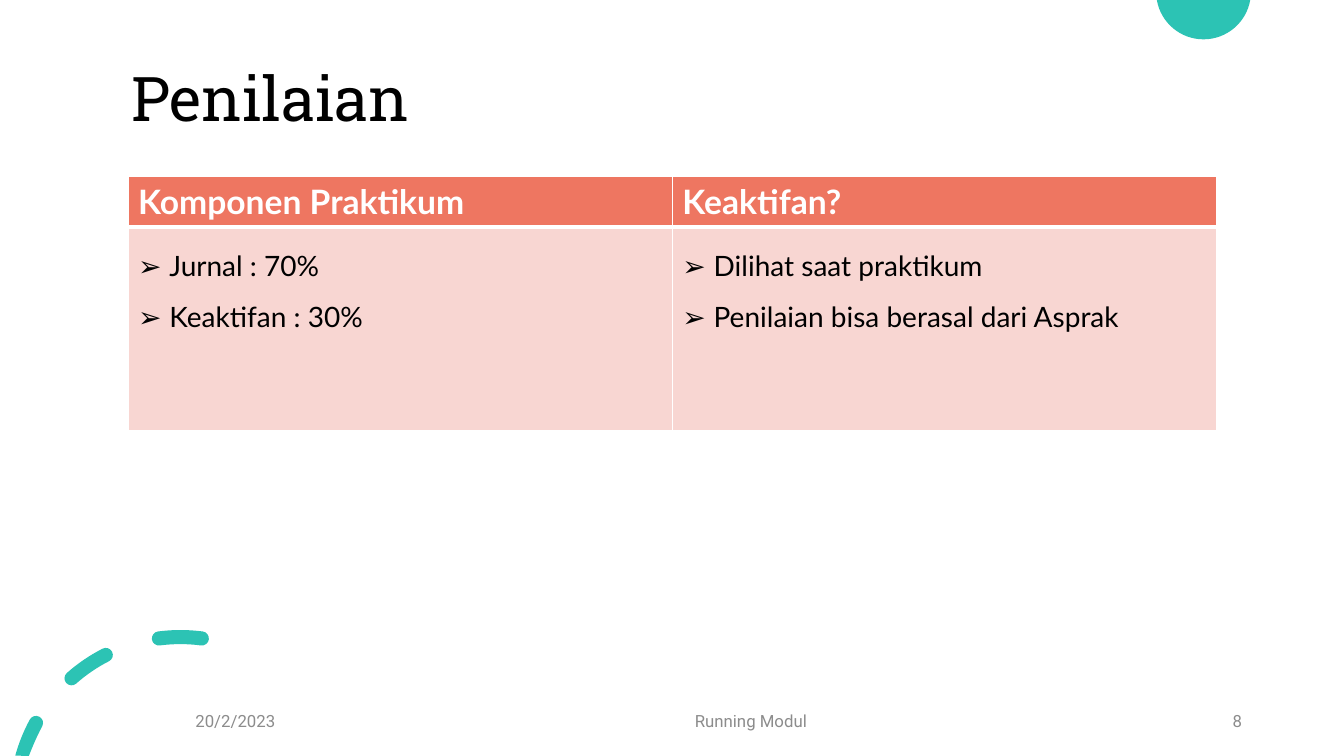
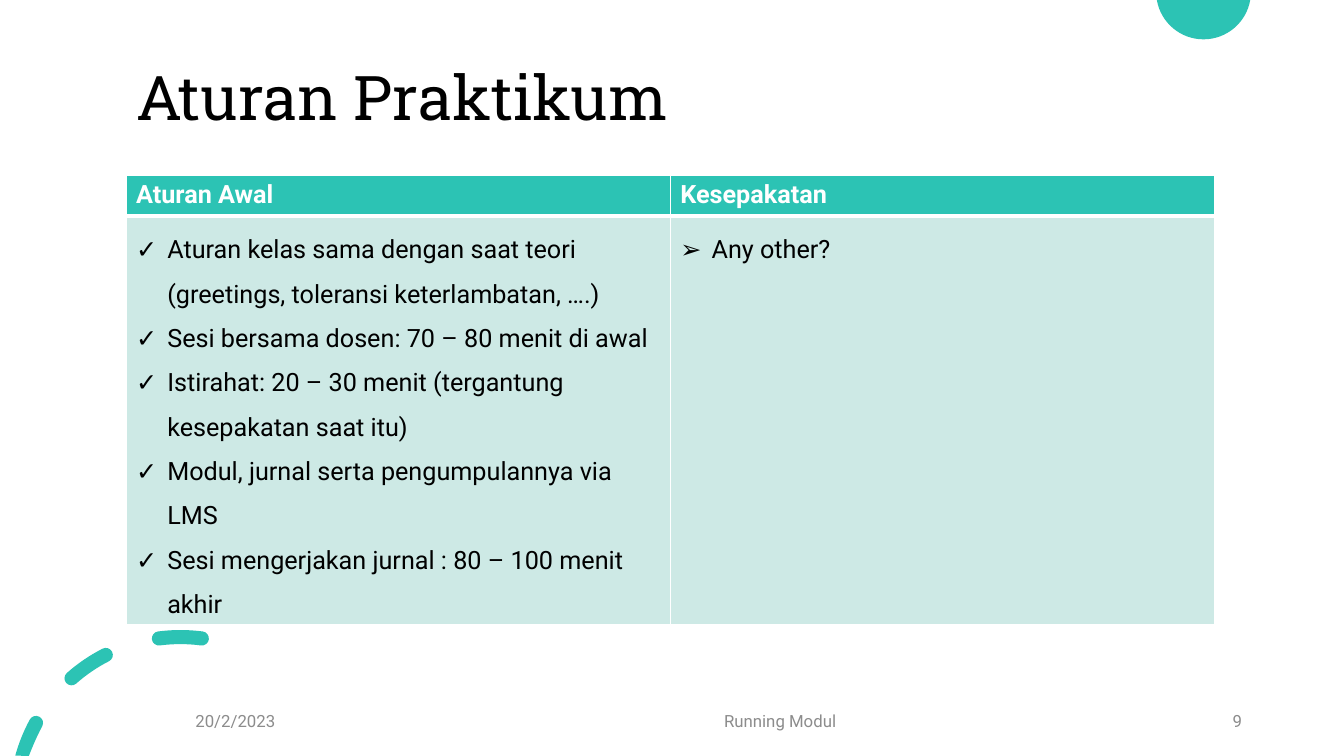
import math
from dataclasses import dataclass

import pptx
import pptx.dml.color
import pptx.enum.text
import pptx.oxml
import pptx.oxml.ns
import pptx.util

Inches, Pt = pptx.util.Inches, pptx.util.Pt
PP_ALIGN = pptx.enum.text.PP_ALIGN
ANCHOR = pptx.enum.text.MSO_ANCHOR


@dataclass(frozen=True)
class Theme:
    teal: str = "2CC3B4"
    teal_pale: str = "CDE9E5"
    coral: str = "EE7661"
    coral_pale: str = "F8D6D2"
    black: str = "000000"
    white: str = "FFFFFF"
    grey: str = "8C8C8C"
    title_font: str = "Roboto Slab"
    body_font: str = "Roboto"
    alt_font: str = "Lato"
    title_size: int = 44
    footer_size: int = 12


THEME = Theme()
SLIDE_H = 7.5
SLIDE_W = SLIDE_H * 16 / 9
ARROW, CHECK = "➢", "✓"


def rgb(value):
    return pptx.dml.color.RGBColor.from_string(value)


def style(p, name, size, color, bold=False):
    p.font.name = name
    p.font.size = Pt(size)
    p.font.color.rgb = rgb(color)
    p.font.bold = bold


# Decoration shared through the layout
def polar(cx, cy, radius, degrees):
    """Point on a circle; degrees run anticlockwise from the top."""
    a = math.radians(degrees)
    return cx - radius * math.sin(a), cy - radius * math.cos(a)


def arc(cx, cy, radius, start, end, pieces=1):
    """Start point, then three Bezier points for each piece of the arc."""
    step = (end - start) / pieces
    pull = 4 / 3 * math.tan(math.radians(step) / 4)
    points = [polar(cx, cy, radius, start)]
    for i in range(pieces):
        a, b = start + i * step, start + (i + 1) * step
        (ax, ay), (bx, by) = polar(cx, cy, radius, a), polar(cx, cy, radius, b)
        points += [(ax + pull * (ay - cy), ay - pull * (ax - cx)),
                   (bx - pull * (by - cy), by + pull * (bx - cx)), (bx, by)]
    return points


def dash(cx, cy, radius, start, end, end_cap=True, half=0.07):
    """Outline of a thick arc with round ends, the last one optional."""
    points = arc(cx, cy, radius + half, end, start)
    points += arc(*polar(cx, cy, radius, start), half, start + 360, start + 180, 2)[1:]
    points += arc(cx, cy, radius - half, start, end)[1:]
    if end_cap:
        points += arc(*polar(cx, cy, radius, end), half, end + 180, end, 2)[1:]
    return points


def add_outline(s, contours, color):
    def emu(point):
        x, y = point
        return Inches(x), Inches(min(max(y, 0), SLIDE_H))

    builder = s.shapes.build_freeform(*emu(contours[0][0]))
    for i, contour in enumerate(contours):
        if i:
            builder.move_to(*emu(contour[0]))
        builder.add_line_segments([emu(pt) for pt in contour[1:]], close=False)
    sp = builder.convert_to_shape()
    # Every three segments become one curve
    qn = pptx.oxml.ns.qn
    segments = list(sp.element.iter(qn("a:lnTo")))
    for first, second, third in zip(*[iter(segments)] * 3):
        first.tag = qn("a:cubicBezTo")
        for segment in (second, third):
            first.append(segment[0])
            segment.getparent().remove(segment)
    sp.shadow.inherit = False
    sp.fill.solid()
    sp.fill.fore_color.rgb = rgb(color)
    sp.line.fill.background()
    return sp


def decorate_layout(layout, s):
    half_chord = math.degrees(math.acos(0.08 / 0.47))
    disc = arc(11.94, -0.08, 0.47, 180 - half_chord, 180 + half_chord, 2)
    ring = (1.79, 7.95, 1.63)
    dashes = [dash(*ring, -7.5, 7.5), dash(*ring, 27, 41.5),
              dash(*ring, 61.5, 74.5, end_cap=False)]
    for contours in ([disc], dashes):
        layout.shapes.element.append(add_outline(s, contours, THEME.teal).element)


# Title and footer
def set_title(s, text, left, top):
    title = s.shapes.title
    title.left, title.top = Inches(left), Inches(top)
    title.width, title.height = Inches(10.8), Inches(1.48)
    title.text_frame.vertical_anchor = ANCHOR.MIDDLE
    p = title.text_frame.paragraphs[0]
    p.text = text
    p.alignment = PP_ALIGN.LEFT
    p.line_spacing = 0.9
    style(p, THEME.title_font, THEME.title_size, THEME.black)


def add_footer(s, number, center_left):
    parts = (
        ("20/2/2023", 1.84, 1.69, PP_ALIGN.LEFT),
        ("Running Modul", center_left, 4.5, PP_ALIGN.CENTER),
        (str(number), 9.42, 3, PP_ALIGN.RIGHT),
    )
    for text, left, width, align in parts:
        tf = s.shapes.add_textbox(Inches(left), Inches(6.95), Inches(width), Inches(0.4)).text_frame
        tf.word_wrap = True
        tf.vertical_anchor = ANCHOR.MIDDLE
        p = tf.paragraphs[0]
        p.text = text
        p.alignment = align
        style(p, THEME.body_font, THEME.footer_size, THEME.grey)


# Table
def set_borders(cell, bottom):
    tc_pr = cell._tc.get_or_add_tcPr()
    widths = {"lnL": 1, "lnR": 1, "lnT": 1, "lnB": bottom}
    for i, (tag, width) in enumerate(widths.items()):
        tc_pr.insert(i, pptx.oxml.parse_xml(
            f'<a:{tag} {pptx.oxml.ns.nsdecls("a")} w="{Pt(width)}"><a:solidFill>'
            f'<a:srgbClr val="{THEME.white}"/></a:solidFill></a:{tag}>'))


def set_bullet(p, char, font):
    p_pr = p._p.get_or_add_pPr()
    p_pr.set("marL", str(Inches(0.31)))
    p_pr.set("indent", str(-Inches(0.31)))
    for tag in (f'buFont {pptx.oxml.ns.nsdecls("a")} typeface="{font}"',
                f'buChar {pptx.oxml.ns.nsdecls("a")} char="{char}"'):
        p_pr.append(pptx.oxml.parse_xml(f"<a:{tag}/>"))


def fill_cell(cell, color, bottom=1):
    cell.fill.solid()
    cell.fill.fore_color.rgb = rgb(color)
    set_borders(cell, bottom)


def add_list_table(s, left, top, heights, columns, font, sizes, colors):
    """Table with a heading and a bulleted list in each column."""
    table = s.shapes.add_table(2, len(columns), Inches(left), Inches(top),
                               Inches(10.8), Inches(sum(heights))).table
    table.first_row = table.horz_banding = False
    for row, height in zip(table.rows, heights):
        row.height = Inches(height)
    for col, (heading, bullet, items) in enumerate(columns):
        head, body = table.cell(0, col), table.cell(1, col)
        fill_cell(head, colors[0], bottom=3)
        fill_cell(body, colors[1])
        head.text = heading
        style(head.text_frame.paragraphs[0], font, sizes[0], THEME.white, bold=True)
        body.text = "\n".join(items)
        for p in body.text_frame.paragraphs:
            set_bullet(p, bullet, font)
            p.line_spacing = 1.5
            style(p, font, sizes[1], THEME.black)


# Slides
def add_grading(s):
    set_title(s, "Penilaian", 1.2, 0.27)
    columns = (
        ("Komponen Praktikum", ARROW, ("Jurnal : 70%", "Keaktifan : 30%")),
        ("Keaktifan?", ARROW, ("Dilihat saat praktikum", "Penilaian bisa berasal dari Asprak")),
    )
    add_list_table(s, 1.27, 1.75, (0.5, 2.02), columns, THEME.alt_font, (24, 20),
                   (THEME.coral, THEME.coral_pale))
    add_footer(s, 8, 5.2)


def add_rules(s):
    set_title(s, "Aturan Praktikum", 1.25, 0.26)
    columns = (
        ("Aturan Awal", CHECK, (
            "Aturan kelas sama dengan saat teori (greetings, toleransi keterlambatan, ….)",
            "Sesi bersama dosen: 70 – 80 menit di awal",
            "Istirahat: 20 – 30 menit (tergantung kesepakatan saat itu)",
            "Modul, jurnal serta pengumpulannya via LMS",
            "Sesi mengerjakan jurnal : 80 – 100 menit akhir",
        )),
        ("Kesepakatan", ARROW, ("Any other?",)),
    )
    add_list_table(s, 1.25, 1.74, (0.4, 4.04), columns, THEME.body_font, (18, 18),
                   (THEME.teal, THEME.teal_pale))
    add_footer(s, 9, 5.49)


def main():
    prs = pptx.Presentation()
    prs.slide_width, prs.slide_height = Inches(SLIDE_W), Inches(SLIDE_H)
    layout = prs.slide_layouts.get_by_name("Title Only")
    slides = [prs.slides.add_slide(layout) for _ in range(2)]
    decorate_layout(layout, slides[0])
    add_grading(slides[0])
    add_rules(slides[1])
    prs.save("out.pptx")


if __name__ == "__main__":
    main()
